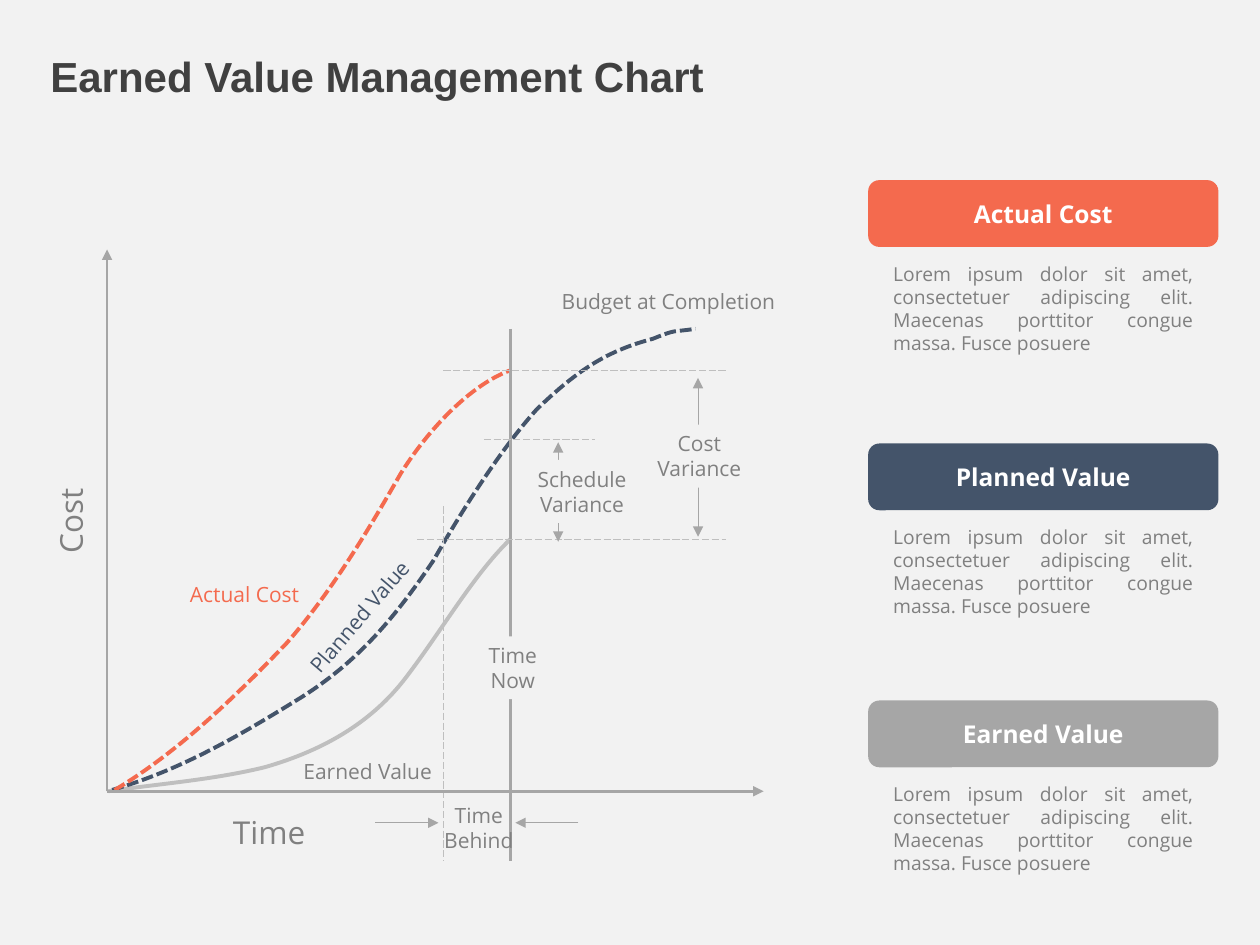
from pptx import Presentation
from pptx.dml.color import RGBColor
from pptx.enum.dml import MSO_LINE
from pptx.enum.shapes import MSO_CONNECTOR, MSO_SHAPE
from pptx.enum.text import MSO_ANCHOR, PP_ALIGN
from pptx.oxml.ns import qn
from pptx.util import Inches, Pt
from lxml.etree import SubElement

BACKGROUND = RGBColor(0xF2, 0xF2, 0xF2)
TITLE_GRAY = RGBColor(0x40, 0x40, 0x40)
TEXT_GRAY = RGBColor(0x80, 0x80, 0x80)
AXIS_GRAY = RGBColor(0xA6, 0xA6, 0xA6)
LIGHT_GRAY = RGBColor(0xBF, 0xBF, 0xBF)
ORANGE = RGBColor(0xF4, 0x6A, 0x4E)
NAVY = RGBColor(0x44, 0x54, 0x6A)
WHITE = RGBColor(0xFF, 0xFF, 0xFF)

BODY = ("Lorem ipsum dolor sit amet, consectetuer adipiscing elit. "
        "Maecenas porttitor congue massa. Fusce posuere")

# Chart positions: inches right of and above the axis origin
TIME_NOW, TIME_BEHIND = 3.2, 2.67
EARNED, PLANNED, ACTUAL, BUDGET = 2.0, 2.79, 3.34, 3.67

# Each curve: start point, then two control points and an end point per segment
CURVES = [
    (LIGHT_GRAY, None, [
        (0.01, 0), (0.42, 0.06), (0.84, 0.09), (1.25, 0.19),
        (1.74, 0.33), (2.11, 0.56), (2.37, 0.9),
        (2.66, 1.28), (2.91, 1.72), (TIME_NOW, EARNED)]),
    (NAVY, MSO_LINE.SQUARE_DOT, [
        (0.04, 0.01), (0.59, 0.17), (1.05, 0.44), (1.55, 0.75),
        (1.99, 1.03), (2.28, 1.37), (2.59, 1.83),
        (2.83, 2.25), (3.13, 2.72), (3.41, 3.03),
        (3.75, 3.36), (3.99, 3.5), (4.33, 3.59),
        (4.53, BUDGET), (4.47, 3.64), (4.67, BUDGET)]),
    (ORANGE, MSO_LINE.SQUARE_DOT, [
        (0.06, 0.01), (0.55, 0.3), (1.01, 0.74), (1.43, 1.18),
        (1.77, 1.57), (2.05, 2.03), (2.33, 2.52),
        (2.58, 2.92), (2.92, 3.24), (TIME_NOW, ACTUAL)]),
]

# Text, center, size, color, font size, rotation, wraps, filled
LABELS = [
    ("Actual Cost", (1.14, 1.56), (1.16, 0.3), ORANGE, 12, 0, False, False),
    ("Earned Value", (2.12, 0.16), (1.32, 0.3), TEXT_GRAY, 12, 0, False, False),
    ("Planned Value", (2.03, 1.42), (1.39, 0.3), NAVY, 12, 310.6, False, False),
    ("Budget at Completion", (4.53, 3.89), (2.04, 0.3), TEXT_GRAY, 12, 0, False, False),
    ("Cost Variance", (4.7, 2.66), (1.02, 0.5), TEXT_GRAY, 12, 0, True, True),
    ("Schedule Variance", (3.77, 2.38), (0.99, 0.5), TEXT_GRAY, 12, 0, True, True),
    ("Time Now", (3.22, 0.98), (0.85, 0.5), TEXT_GRAY, 12, 0, True, True),
    ("Time Behind", (2.95, -0.29), (0.85, 0.5), TEXT_GRAY, 12, 0, True, False),
    ("Time", (1.31, -0.32), (0.82, 0.4), TEXT_GRAY, 18, 0, False, False),
    ("Cost", (-0.29, 2.17), (0.76, 0.4), TEXT_GRAY, 18, 270, False, False),
]


def write_text(shape, text, size, color, align, bold=False, font="Open Sans", wrap=True):
    """Put one formatted paragraph into a shape."""
    frame = shape.text_frame
    frame.word_wrap = wrap
    frame.vertical_anchor = MSO_ANCHOR.TOP
    frame.text = text
    paragraph = frame.paragraphs[0]
    paragraph.alignment = align
    paragraph.font.name = font
    paragraph.font.size = Pt(size)
    paragraph.font.bold = bold
    paragraph.font.color.rgb = color


def add_line(slide, origin, start, end, color, width, dash=None, arrows=()):
    """Draw a line between two chart points, with arrows at the named ends."""
    left, base = origin
    line = slide.shapes.add_connector(
        MSO_CONNECTOR.STRAIGHT,
        Inches(left + start[0]), Inches(base - start[1]),
        Inches(left + end[0]), Inches(base - end[1]))
    line.line.color.rgb = color
    line.line.width = Pt(width)
    if dash:
        line.line.dash_style = dash
    for arrow in arrows:
        SubElement(line.line._get_or_add_ln(), qn(f"a:{arrow}"), type="triangle")
    SubElement(line._element.spPr, qn("a:effectLst"))


def add_curve(slide, origin, color, dash, points):
    """Draw a smooth open curve through Bezier segments."""
    left, base = origin
    places = [(Inches(left + x), Inches(base - y)) for x, y in points]
    builder = slide.shapes.build_freeform(*places[0])
    builder.add_line_segments(places[1:], close=False)
    curve = builder.convert_to_shape()
    outline = curve._element.find(".//" + qn("a:path"))
    vertices = outline.findall(qn("a:lnTo"))
    for index in range(0, len(vertices), 3):
        segment = SubElement(outline, qn("a:cubicBezTo"))
        for vertex in vertices[index:index + 3]:
            segment.append(vertex[0])
            outline.remove(vertex)
    curve.fill.background()
    curve.line.color.rgb = color
    curve.line.width = Pt(2.25)
    if dash:
        curve.line.dash_style = dash
    curve.shadow.inherit = False


def add_label(slide, origin, text, center, size, color, points, rotation, wraps, filled):
    """Place a chart label around its center point."""
    width, height = size
    label = slide.shapes.add_textbox(
        Inches(origin[0] + center[0] - width / 2),
        Inches(origin[1] - center[1] - height / 2), Inches(width), Inches(height))
    label.rotation = rotation
    if filled:
        label.fill.solid()
        label.fill.fore_color.rgb = BACKGROUND
    align = PP_ALIGN.CENTER if wraps else PP_ALIGN.LEFT
    write_text(label, text, points, color, align, wrap=wraps)


def add_value_chart(slide, left, top, width, height):
    """Draw the earned value diagram in the box spanned by its axes."""
    origin = (left, top + height)
    for curve in CURVES:
        add_curve(slide, origin, *curve)
    add_line(slide, origin, (TIME_NOW, BUDGET), (TIME_NOW, -0.55), AXIS_GRAY, 1.5)
    for start, end in [
        ((TIME_BEHIND, 2.26), (TIME_BEHIND, -0.55)),
        ((2.46, EARNED), (4.91, EARNED)),
        ((2.99, PLANNED), (3.87, PLANNED)),
        ((TIME_BEHIND, ACTUAL), (4.91, ACTUAL)),
    ]:
        add_line(slide, origin, start, end, LIGHT_GRAY, 0.5, MSO_LINE.LONG_DASH)
    for end in [(width, 0), (0, height)]:
        add_line(slide, origin, (0, 0), end, AXIS_GRAY, 1.5, arrows=["tailEnd"])
    for start, end, arrows in [
        ((3.58, 2.77), (3.58, 1.98), ["headEnd", "tailEnd"]),
        ((4.69, 3.28), (4.69, 2.02), ["headEnd", "tailEnd"]),
        ((2.13, -0.25), (2.63, -0.25), ["tailEnd"]),
        ((3.74, -0.25), (3.24, -0.25), ["tailEnd"]),
    ]:
        add_line(slide, origin, start, end, AXIS_GRAY, 0.5, arrows=arrows)
    for label in LABELS:
        add_label(slide, origin, *label)


def add_card(slide, left, top, width, heading, color):
    """Place a colored heading with its description below."""
    header = slide.shapes.add_shape(
        MSO_SHAPE.ROUNDED_RECTANGLE, Inches(left), Inches(top), Inches(width), Inches(0.53))
    header.fill.solid()
    header.fill.fore_color.rgb = color
    header.line.fill.background()
    header.shadow.inherit = False
    write_text(header, heading, 14, WHITE, PP_ALIGN.CENTER, bold=True)
    header.text_frame.vertical_anchor = MSO_ANCHOR.MIDDLE
    description = slide.shapes.add_textbox(
        Inches(left + 0.1), Inches(top + 0.6), Inches(width - 0.2), Inches(0.84))
    write_text(description, BODY, 11, TEXT_GRAY, PP_ALIGN.JUSTIFY)


def add_title(slide, left, top, width, height):
    """Move and format the title placeholder."""
    title = slide.shapes.title
    title.left, title.top = Inches(left), Inches(top)
    title.width, title.height = Inches(width), Inches(height)
    write_text(title, "Earned Value Management Chart", 24, TITLE_GRAY,
               PP_ALIGN.LEFT, bold=True, font="Arial")


def main():
    """Build the slide and save it."""
    presentation = Presentation()
    presentation.slide_width, presentation.slide_height = Inches(10), Inches(7.5)
    slide = presentation.slides.add_slide(presentation.slide_layouts[5])
    slide.background.fill.solid()
    slide.background.fill.fore_color.rgb = BACKGROUND
    add_title(slide, 0.3, 0.35, 5.55, 0.5)
    add_value_chart(slide, 0.85, 1.98, 5.21, 4.3)
    for top, heading, color in [(1.43, "Actual Cost", ORANGE),
                                (3.52, "Planned Value", NAVY),
                                (5.56, "Earned Value", AXIS_GRAY)]:
        add_card(slide, 6.89, top, 2.78, heading, color)
    presentation.save("out.pptx")


main()
